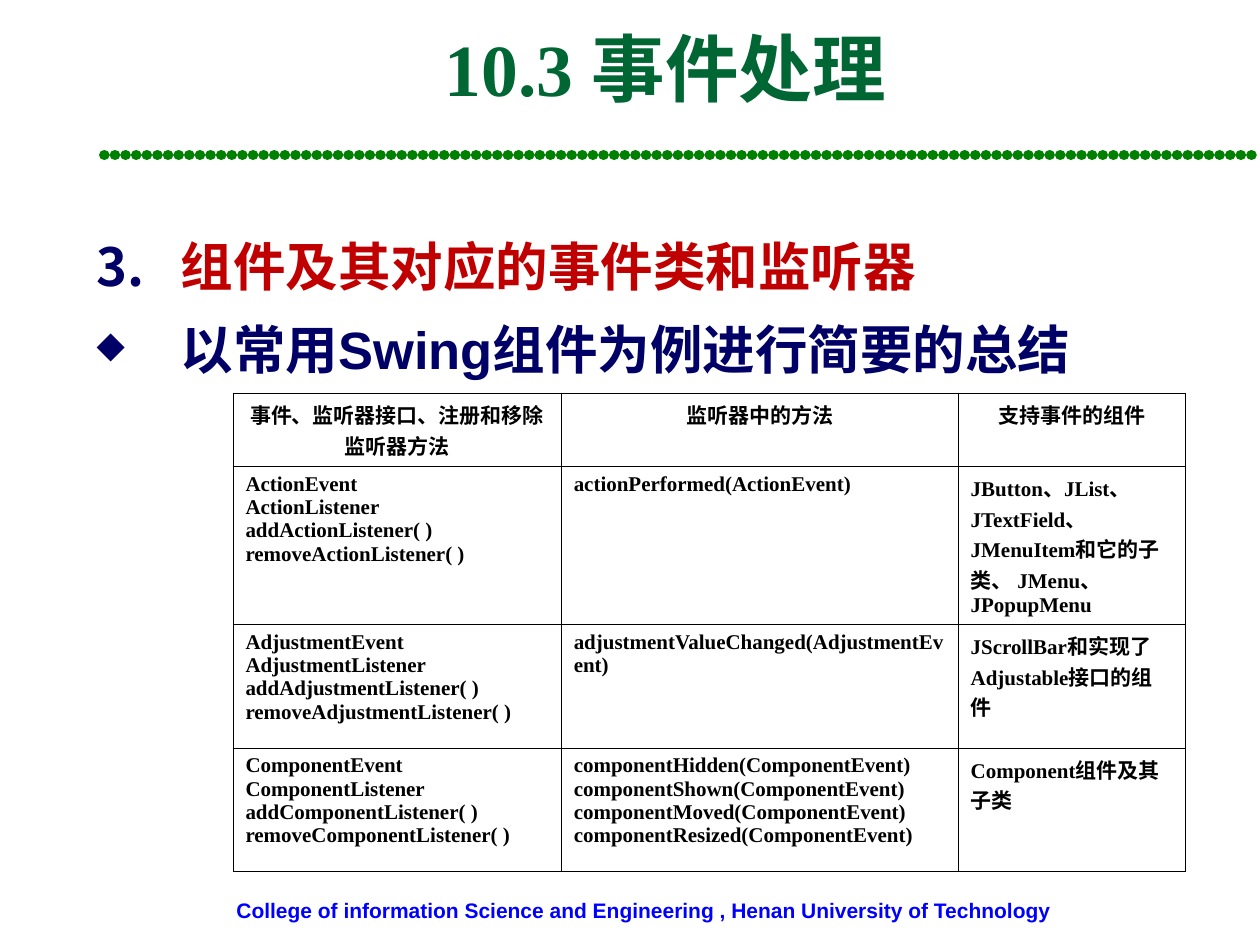
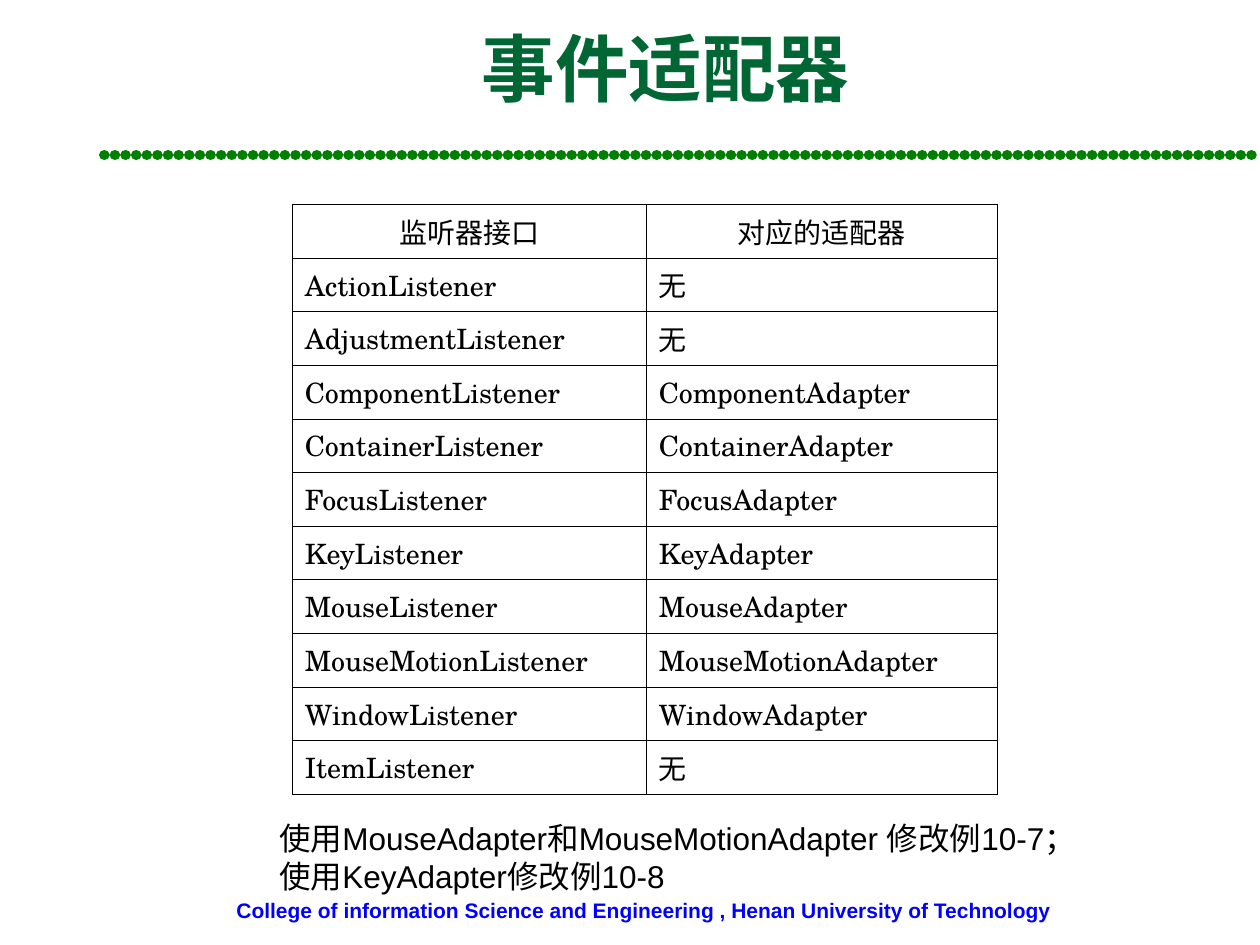
from dataclasses import dataclass
from typing import Any

from lxml import etree
from pptx import Presentation
from pptx import util as u
from pptx.dml.color import RGBColor
from pptx.enum import shapes, text
from pptx.oxml import ns

Pt = u.Pt

# Shared colours
GREEN_TITLE = RGBColor(0x00, 0x66, 0x33)
GREEN_LINE = RGBColor(0x00, 0x80, 0x00)
BLUE_FOOTER = RGBColor(0x00, 0x00, 0xFF)
NAVY = RGBColor(0x00, 0x00, 0x66)
RED = RGBColor(0xC0, 0x00, 0x00)
BLACK = RGBColor(0x00, 0x00, 0x00)

FOOTER = "College of information Science and Engineering , Henan University of Technology"
BORDER_SIDES = ("a:lnL", "a:lnR", "a:lnT", "a:lnB")


@dataclass(frozen=True)
class Box:
    left: float
    top: float
    width: float
    height: float

    def lengths(self) -> tuple:
        return Pt(self.left), Pt(self.top), Pt(self.width), Pt(self.height)


@dataclass(frozen=True)
class TextStyle:
    name: str
    size: float
    color: RGBColor
    bold: bool = False


@dataclass(frozen=True)
class Bullet:
    tag: str
    attributes: dict
    percent: int = 100


@dataclass(frozen=True)
class Grid:
    left: float
    top: float
    columns: tuple
    rows: tuple
    latin: TextStyle
    east_asian: TextStyle
    anchor: Any


# Shared styles
TITLE = TextStyle("Times New Roman", 42, GREEN_TITLE, True)
FOOTER_STYLE = TextStyle("Arial", 12, BLUE_FOOTER, True)
NOTE_STYLE = TextStyle("Arial", 18, BLACK)
EVENT_STYLE = TextStyle("Times New Roman", 12, BLACK, True)
ADAPTER_LATIN = TextStyle("TeX Gyre Schola", 16, BLACK)
ADAPTER_EAST_ASIAN = TextStyle("Calibri", 16, BLACK)


def add_element(parent: Any, tag: str, **attributes: Any) -> Any:
    element = etree.SubElement(parent, ns.qn(tag))
    for key, value in attributes.items():
        element.set(key, str(value))
    return element


def write(paragraph: Any, words: str, style: TextStyle) -> None:
    run = paragraph.add_run()
    run.text = words
    formats = {"name": style.name, "size": Pt(style.size), "bold": style.bold}
    for key, value in formats.items():
        setattr(run.font, key, value)
    run.font.color.rgb = style.color


def write_lines(frame: Any, lines: list[str], style: TextStyle) -> None:
    for index, line in enumerate(lines):
        paragraph = frame.add_paragraph() if index else frame.paragraphs[0]
        write(paragraph, line, style)


def add_label(slide: Any, box: Box, lines: list[str], style: TextStyle) -> None:
    frame = slide.shapes.add_textbox(*box.lengths()).text_frame
    frame.word_wrap = False
    frame.auto_size = text.MSO_AUTO_SIZE.SHAPE_TO_FIT_TEXT
    write_lines(frame, lines, style)


def add_dotted_rule(slide: Any) -> None:
    rule = slide.shapes.add_connector(
        shapes.MSO_CONNECTOR.STRAIGHT, Pt(59.6), Pt(88.6), Pt(720), Pt(88.6))
    rule.line.color.rgb = GREEN_LINE
    rule.line.width = Pt(6)
    line = rule.line._get_or_add_ln()
    line.set("cap", "rnd")
    dashes = add_element(line, "a:custDash")
    add_element(dashes, "a:ds", d=100000, sp=1000)
    add_element(line, "a:round")
    add_element(rule._element.spPr, "a:effectLst")


def add_base_slide(presentation: Any, title: str) -> Any:
    """Add a slide with the shared footer, dotted rule and title."""
    slide = presentation.slides.add_slide(presentation.slide_layouts[5])
    add_label(slide, Box(128, 509.4, 481, 21.6), [FOOTER], FOOTER_STYLE)
    add_dotted_rule(slide)
    shape = slide.shapes.title
    for key, value in zip(("left", "top", "width", "height"),
                          Box(76.3, 9.4, 607.7, 67).lengths()):
        setattr(shape, key, value)
    frame = shape.text_frame
    formats = {"margin_top": Pt(3.6), "margin_bottom": 0, "word_wrap": True,
               "vertical_anchor": text.MSO_ANCHOR.TOP,
               "auto_size": text.MSO_AUTO_SIZE.NONE}
    for key, value in formats.items():
        setattr(frame, key, value)
    frame.paragraphs[0].alignment = text.PP_ALIGN.CENTER
    write(frame.paragraphs[0], title, TITLE)
    return slide


def add_bullet(paragraph: Any, bullet: Bullet) -> None:
    properties = paragraph._p.get_or_add_pPr()
    properties.set("marL", str(Pt(48)))
    properties.set("indent", str(Pt(-48)))
    color = add_element(properties, "a:buClr")
    add_element(color, "a:srgbClr", val=NAVY)
    add_element(properties, "a:buSzPct", val=bullet.percent * 1000)
    add_element(properties, bullet.tag, **bullet.attributes)


def add_borders(cell: Any) -> None:
    properties = cell._tc.get_or_add_tcPr()
    for index, side in enumerate(BORDER_SIDES):
        border = etree.Element(ns.qn(side), w=str(Pt(0.45)))
        fill = add_element(border, "a:solidFill")
        add_element(fill, "a:srgbClr", val=BLACK)
        properties.insert(index, border)


def add_grid(slide: Any, grid: Grid, contents: list[tuple]) -> None:
    box = Box(grid.left, grid.top, sum(grid.columns), sum(grid.rows))
    table = slide.shapes.add_table(
        len(grid.rows), len(grid.columns), *box.lengths()).table
    table.first_row = table.horz_banding = False
    for column, width in zip(table.columns, grid.columns):
        column.width = Pt(width)
    for row_index, (height, values) in enumerate(zip(grid.rows, contents)):
        table.rows[row_index].height = Pt(height)
        for cell, value in zip(table.rows[row_index].cells, values):
            cell.fill.background()
            cell.vertical_anchor = grid.anchor
            add_borders(cell)
            style = grid.latin if value.isascii() else grid.east_asian
            write_lines(cell.text_frame, value.split("\n"), style)
            if row_index == 0:
                cell.text_frame.paragraphs[0].alignment = text.PP_ALIGN.CENTER


def listener_lines(event: str) -> str:
    """List the class, interface and registration methods of an event."""
    return (f"{event}Event\n{event}Listener\n"
            f"add{event}Listener( )\nremove{event}Listener( )")


def add_events_slide(presentation: Any) -> None:
    slide = add_base_slide(presentation, "10.3 事件处理")

    # Numbered heading and bullet
    frame = slide.shapes.add_textbox(*Box(48.2, 126, 635, 98.6).lengths()).text_frame
    frame.word_wrap = True
    points = [
        ("组件及其对应的事件类和监听器", RED,
         Bullet("a:buAutoNum", {"type": "arabicPeriod", "startAt": 3})),
        ("以常用Swing组件为例进行简要的总结", NAVY,
         Bullet("a:buChar", {"char": "◆"}, 70)),
    ]
    for index, (words, color, bullet) in enumerate(points):
        paragraph = frame.add_paragraph() if index else frame.paragraphs[0]
        add_bullet(paragraph, bullet)
        paragraph.line_spacing = Pt(40)
        if index:
            paragraph.space_before = Pt(7.5)
        write(paragraph, words, TextStyle("Arial", 30, color, True))

    # Events, listener methods and components
    component_methods = "\n".join(
        f"component{action}(ComponentEvent)"
        for action in ("Hidden", "Shown", "Moved", "Resized"))
    contents = [
        ("事件、监听器接口、注册和移除监听器方法", "监听器中的方法", "支持事件的组件"),
        (listener_lines("Action"), "actionPerformed(ActionEvent)",
         "JButton、JList、JTextField、JMenuItem和它的子类、 JMenu、JPopupMenu"),
        (listener_lines("Adjustment"), "adjustmentValueChanged(AdjustmentEvent)",
         "JScrollBar和实现了Adjustable接口的组件"),
        (listener_lines("Component"), component_methods, "Component组件及其子类"),
    ]
    grid = Grid(133.1, 224.6, (187.6, 226.8, 129.8), (41.8, 90.3, 70.7, 70.6),
                EVENT_STYLE, EVENT_STYLE, text.MSO_ANCHOR.TOP)
    add_grid(slide, grid, contents)


def add_adapters_slide(presentation: Any) -> None:
    slide = add_base_slide(presentation, "事件适配器")

    # Listener interfaces and their adapters
    listeners = ("Action", "Adjustment", "Component", "Container", "Focus", "Key",
                 "Mouse", "MouseMotion", "Window", "Item")
    without_adapter = {"Action", "Adjustment", "Item"}
    contents = [("监听器接口", "对应的适配器")] + [
        (f"{name}Listener", "无" if name in without_adapter else f"{name}Adapter")
        for name in listeners]
    grid = Grid(167, 116.8, (202.3, 200.6), (30.65,) * len(contents),
                ADAPTER_LATIN, ADAPTER_EAST_ASIAN, text.MSO_ANCHOR.MIDDLE)
    add_grid(slide, grid, contents)

    # Exercise note
    add_label(slide, Box(152.6, 464.4, 495.4, 50.4),
              ["使用MouseAdapter和MouseMotionAdapter 修改例10-7；",
               "使用KeyAdapter修改例10-8"], NOTE_STYLE)


def main() -> None:
    presentation = Presentation()
    presentation.slide_width = Pt(720)
    presentation.slide_height = Pt(540)
    add_events_slide(presentation)
    add_adapters_slide(presentation)
    presentation.save("out.pptx")


if __name__ == "__main__":
    main()
